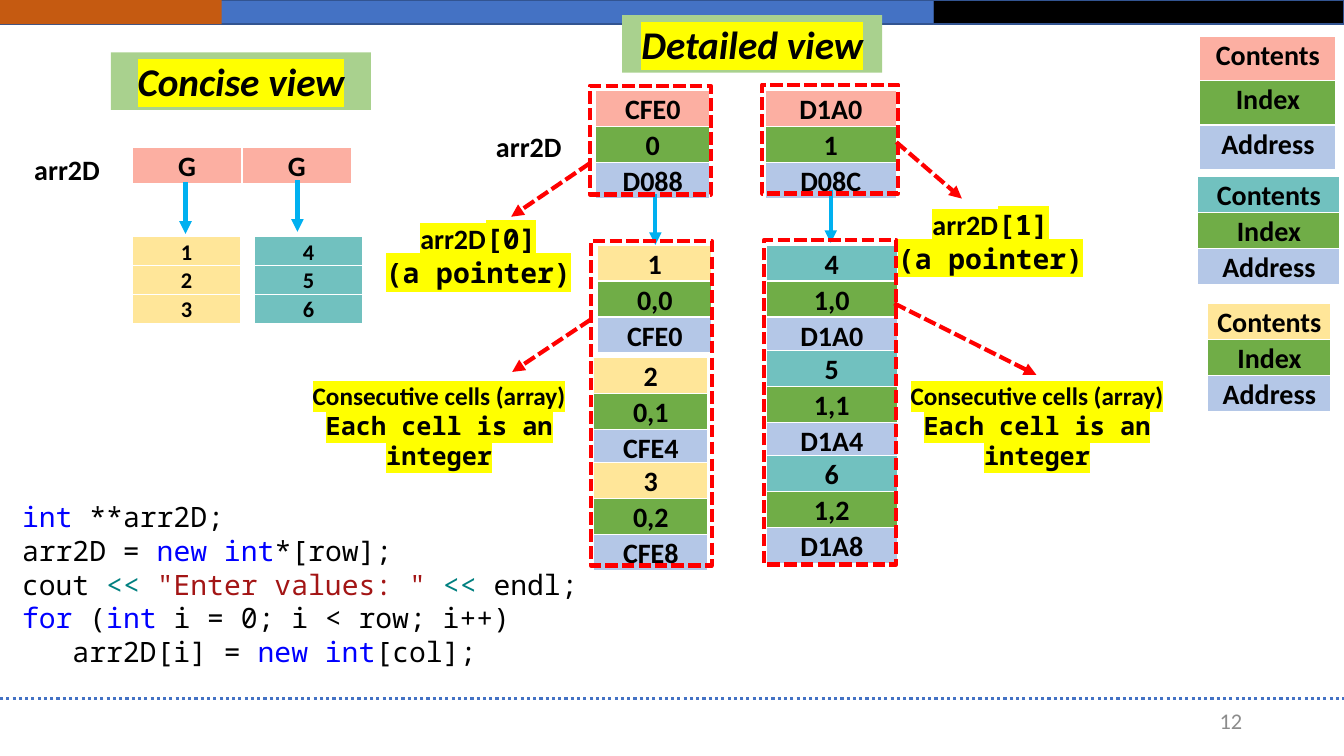
import pptx
import pptx.util
import pptx.dml.color
import pptx.enum.dml
import pptx.enum.shapes
import pptx.enum.text
import pptx.oxml
import pptx.oxml.ns

Inches = pptx.util.Inches
Pt = pptx.util.Pt
RGBColor = pptx.dml.color.RGBColor
MSO_LINE = pptx.enum.dml.MSO_LINE
PP_ALIGN = pptx.enum.text.PP_ALIGN
MSO_ANCHOR = pptx.enum.text.MSO_ANCHOR

BLACK = RGBColor(0x00, 0x00, 0x00)
GREY = RGBColor(0x8C, 0x8C, 0x8C)
BLUE = RGBColor(0x44, 0x72, 0xC4)
NAVY = RGBColor(0x32, 0x54, 0x91)
ORANGE = RGBColor(0xC5, 0x5A, 0x11)
RED = RGBColor(0xFF, 0x00, 0x00)
SKY = RGBColor(0x00, 0xB0, 0xF0)
YELLOW = RGBColor(0xFF, 0xFF, 0x00)
PINK = RGBColor(0xFC, 0xAF, 0xA2)
SAND = RGBColor(0xFF, 0xE6, 0x99)
TEAL = RGBColor(0x71, 0xC1, 0xBF)
GREEN = RGBColor(0x70, 0xAD, 0x47)
LIGHT_GREEN = RGBColor(0xA9, 0xD1, 0x8E)
LIGHT_BLUE = RGBColor(0xB4, 0xC7, 0xE7)
KEYWORD = RGBColor(0x00, 0x00, 0xFF)
OPERATOR = RGBColor(0x00, 0x80, 0x80)
STRING = RGBColor(0xA3, 0x15, 0x15)
SANS = "Calibri"
MONO = "Noto Sans Mono"


class SlideBuilder:
    def __init__(self, slide):
        self.slide = slide

    def add_runs(self, frame, paragraphs, size, align=PP_ALIGN.CENTER, spacing=None,
                 bold=True, italic=False, highlight=None):
        frame.word_wrap = True
        for number, runs in enumerate(paragraphs):
            paragraph = frame.add_paragraph() if number else frame.paragraphs[0]
            paragraph.alignment = align
            if spacing:
                paragraph.line_spacing = spacing
            for text, color, face in runs:
                run = paragraph.add_run()
                run.text = text
                run.font.size = Pt(size)
                run.font.bold = bold
                run.font.italic = italic
                run.font.color.rgb = color
                if highlight:
                    run._r.get_or_add_rPr().append(pptx.oxml.parse_xml(
                        f'<a:highlight {pptx.oxml.ns.nsdecls("a")}>'
                        f'<a:srgbClr val="{highlight}"/></a:highlight>'))
                run.font.name = face

    def text(self, left, top, width, height, paragraphs, size, anchor=MSO_ANCHOR.TOP, **style):
        box = self.slide.shapes.add_textbox(
            Inches(left), Inches(top), Inches(width), Inches(height))
        box.text_frame.vertical_anchor = anchor
        self.add_runs(box.text_frame, paragraphs, size, **style)

    def box(self, left, top, width, height, fill=None, line=None, weight=1, dash=None):
        shape = self.slide.shapes.add_shape(
            pptx.enum.shapes.MSO_SHAPE.RECTANGLE,
            Inches(left), Inches(top), Inches(width), Inches(height))
        shape.shadow.inherit = False
        if fill is None:
            shape.fill.background()
        else:
            shape.fill.solid()
            shape.fill.fore_color.rgb = fill
        if line is None:
            shape.line.fill.background()
        else:
            shape.line.color.rgb = line
            shape.line.width = Pt(weight)
            shape.line.dash_style = dash
        return shape

    def title(self, left, top, text):
        banner = self.box(left, top, 2.58, 0.57, LIGHT_GREEN)
        banner.text_frame.vertical_anchor = MSO_ANCHOR.TOP
        self.add_runs(banner.text_frame, [[(text, BLACK, SANS)]], 28,
                      italic=True, highlight=YELLOW)

    def line(self, start, end, color, weight=3, dash=None, arrow=True):
        connector = self.slide.shapes.add_connector(
            pptx.enum.shapes.MSO_CONNECTOR.STRAIGHT, *map(Inches, start + end))
        connector.line.color.rgb = color
        connector.line.width = Pt(weight)
        connector.line.dash_style = dash
        properties = connector._element.spPr
        if arrow:
            properties.find(pptx.oxml.ns.qn("a:ln")).append(pptx.oxml.parse_xml(
                f'<a:tailEnd {pptx.oxml.ns.nsdecls("a")} type="triangle"/>'))
        properties.append(pptx.oxml.parse_xml(
            f'<a:effectLst {pptx.oxml.ns.nsdecls("a")}/>'))

    def table(self, left, top, width, rows, fills, size=20, row_height=0.24):
        table = self.slide.shapes.add_table(
            len(rows), len(rows[0]), Inches(left), Inches(top),
            Inches(width), Inches(row_height * len(rows))).table
        table.horz_banding = False
        for row, (texts, fill) in enumerate(zip(rows, fills)):
            table.rows[row].height = Inches(row_height)
            for column, text in enumerate(texts):
                cell = table.cell(row, column)
                cell.margin_left = cell.margin_right = Inches(0.07)
                cell.margin_top = cell.margin_bottom = Inches(0)
                cell.fill.solid()
                cell.fill.fore_color.rgb = fill
                self.add_runs(cell.text_frame, [[(text, BLACK, SANS)]], size, spacing=1.07)

    def memory_cell(self, left, top, width, color, labels, row_height=0.24):
        self.table(left, top, width, [[label] for label in labels],
                   [color, GREEN, LIGHT_BLUE], row_height=row_height)


deck = pptx.Presentation()
deck.slide_width = Inches(13.33)
deck.slide_height = Inches(7.5)
page = SlideBuilder(deck.slides.add_slide(deck.slide_layouts[6]))

page.box(0, 0, 9.26, 0.24, BLUE, NAVY)
page.box(9.26, 0, 4.07, 0.24, BLACK, NAVY)
page.box(0, 0, 2.2, 0.24, ORANGE)
page.line((0, 6.93), (13.33, 6.93), BLUE, 2.25, MSO_LINE.ROUND_DOT, arrow=False)
page.text(9.42, 6.95, 3, 0.4, [[("12", GREY, SANS)]], 16, MSO_ANCHOR.MIDDLE,
          align=PP_ALIGN.RIGHT, bold=False)

page.table(1.31, 1.46, 2.18, [["G", "G"]], [PINK])
for left, color, values in [(1.31, SAND, "123"), (2.52, TEAL, "456")]:
    page.table(left, 2.35, 1.08, [[value] for value in values], [color] * 3,
               size=16, row_height=0.17)

for left, top, width, color, labels in [
    (5.93, 2.43, 1.13, SAND, ("1", "0,0", "CFE0")),
    (5.89, 3.55, 1.13, SAND, ("2", "0,1", "CFE4")),
    (5.89, 4.59, 1.13, SAND, ("3", "0,2", "CFE8")),
    (7.6, 2.43, 1.3, TEAL, ("4", "1,0", "D1A0")),
    (7.6, 3.48, 1.3, TEAL, ("5", "1,1", "D1A4")),
    (7.6, 4.52, 1.3, TEAL, ("6", "1,2", "D1A8")),
    (5.91, 0.9, 1.13, PINK, ("CFE0", "0", "D088")),
    (7.59, 0.9, 1.3, PINK, ("D1A0", "1", "D08C")),
]:
    page.memory_cell(left, top, width, color, labels)

for left, top, width, color, row_height in [
    (11.9, 0.36, 1.35, PINK, 0.44),
    (11.88, 1.75, 1.41, TEAL, 0.24),
    (11.98, 3.01, 1.22, SAND, 0.24),
]:
    page.memory_cell(left, top, width, color, ("Contents", "Index", "Address"), row_height)

for left, top in [(-0.16, 1.3), (4.42, 1.07)]:
    page.text(left, top, 1.65, 0.55, [[("arr2D", BLACK, SANS)]], 20, spacing=1.5)

for x, top, bottom in [(1.84, 1.81, 2.32), (2.95, 1.79, 2.3),
                       (6.5, 1.92, 2.43), (8.24, 1.89, 2.41)]:
    page.line((x, top), (x, bottom), SKY)

for frame in [(5.85, 0.85, 1.2, 1.08), (7.56, 0.84, 1.35, 1.08),
              (5.86, 2.39, 1.2, 3.22), (7.58, 2.38, 1.31, 3.22)]:
    page.box(*frame, line=RED, weight=3, dash=MSO_LINE.SQUARE_DOT)

for start, end in [((5.85, 1.62), (5.07, 2.15)), ((8.89, 1.41), (9.54, 1.97)),
                   ((5.86, 3.17), (5.08, 3.69)), ((8.87, 3.01), (10.28, 3.72))]:
    page.line(start, end, RED, dash=MSO_LINE.SQUARE_DOT)

for left, top, index in [(3.71, 2.15, "[0]"), (8.79, 2.01, "[1]")]:
    page.text(left, top, 2.07, 0.77,
              [[("arr2D", BLACK, SANS), (index, BLACK, MONO)],
               [("(a pointer)", BLACK, MONO)]], 20, highlight=YELLOW)

for left in (2.93, 8.86):
    page.text(left, 3.72, 2.85, 1.01,
              [[("Consecutive cells (array)", BLACK, SANS)],
               [("Each cell is an integer", BLACK, MONO)]], 18, highlight=YELLOW)

page.title(1.1, 0.52, "Concise view")
page.title(6.17, 0.15, "Detailed view")

code_lines = [
    [("int", KEYWORD), (" **arr2D;", BLACK)],
    [("arr2D = ", BLACK), ("new int", KEYWORD), ("*[row];", BLACK)],
    [("cout ", BLACK), ("<< ", OPERATOR), ('"Enter values: " ', STRING),
     ("<< ", OPERATOR), ("endl;", BLACK)],
    [("for", KEYWORD), (" (", BLACK), ("int", KEYWORD), (" i = 0; i < row; i++)", BLACK)],
    [("\tarr2D[i] = ", BLACK), ("new int", KEYWORD), ("[col];", BLACK)],
]
page.text(0.12, 4.91, 9.25, 1.78,
          [[(text, color, MONO) for text, color in runs] for runs in code_lines],
          20, align=PP_ALIGN.LEFT, bold=False)

deck.save("out.pptx")
